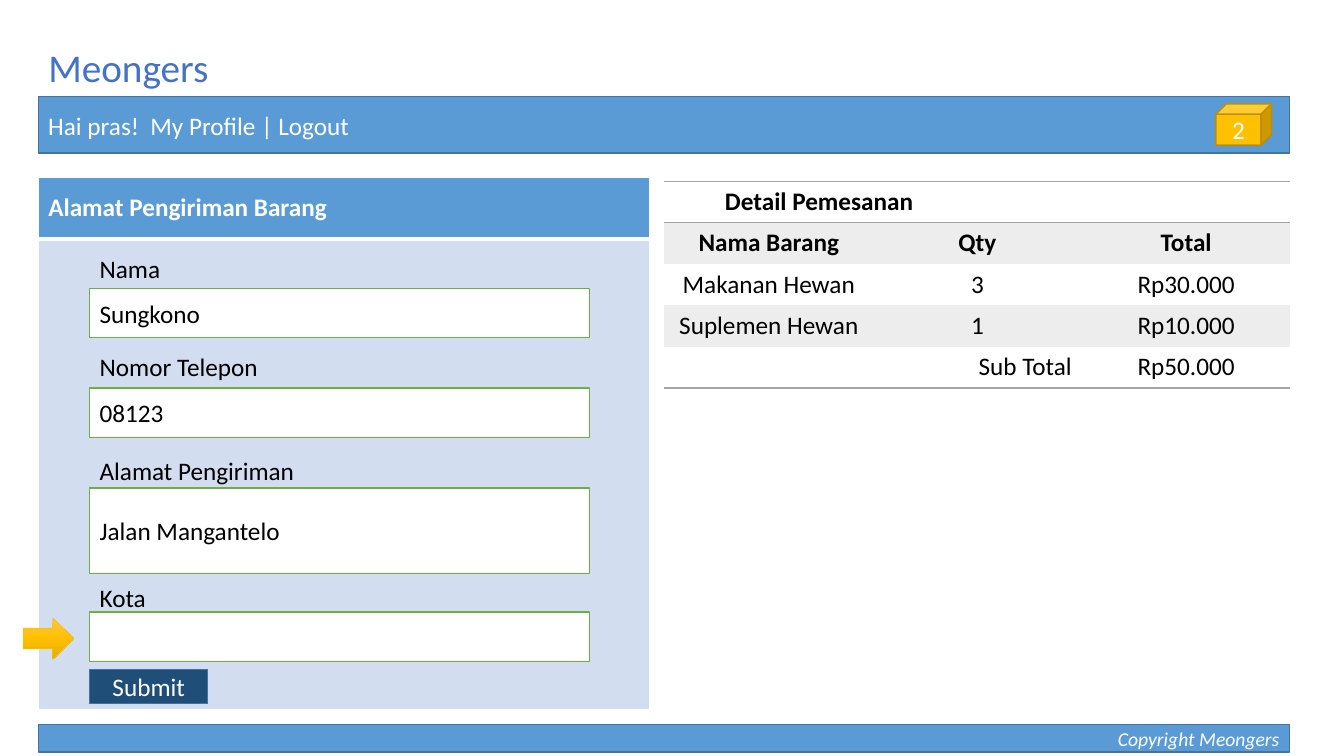
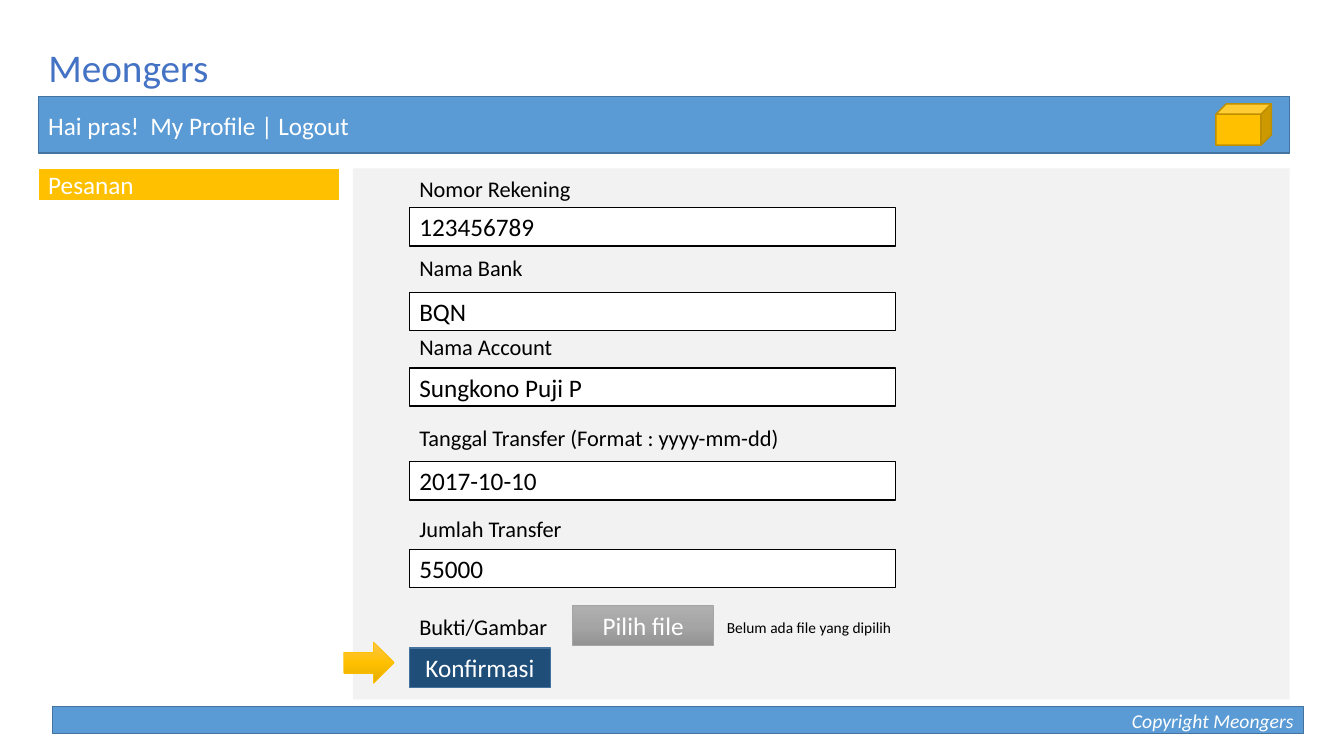
import copy
from dataclasses import dataclass

import lxml.etree
import pptx
import pptx.dml.color
import pptx.enum.shapes
import pptx.enum.text
import pptx.oxml.ns
import pptx.util

Inches = pptx.util.Inches
Pt = pptx.util.Pt
SHAPES = pptx.enum.shapes.MSO_SHAPE
ALIGN = pptx.enum.text.PP_ALIGN
ANCHOR = pptx.enum.text.MSO_ANCHOR
qn = pptx.oxml.ns.qn


@dataclass(frozen=True)
class Theme:
    font: str = "Calibri"
    title_size: int = 28
    body_size: int = 18
    label_size: int = 16
    footer_size: int = 14
    note_size: int = 11
    title: str = "4472C4"
    band: str = "5B9BD5"
    band_line: str = "43739E"
    button: str = "1F4E79"
    accent: str = "FFC000"
    accent_line: str = "BD8E00"
    field_line: str = "70AD47"
    table_line: str = "A5A5A5"
    stripe: str = "EDEDED"
    form: str = "D2DEEF"
    panel: str = "F2F2F2"
    white: str = "FFFFFF"
    black: str = "000000"
    arrow_gradient: tuple = ("FFC64B", "FFC000", "E3AB00")
    grey_gradient: tuple = ("AFAFAF", "A5A5A5", "939393")


THEME = Theme()

# Content
SITE_NAME = "Meongers"
MENU = "Hai pras!  My Profile | Logout"
COPYRIGHT = "Copyright Meongers"
LEFT, WIDTH = 0.38, 12.41

ADDRESS_TITLE = "Alamat Pengiriman Barang"
# label, label top, value, field top, field height
ADDRESS_FIELDS = [
    ("Nama", 2.46, "Sungkono", 2.86, 0.49),
    ("Nomor Telepon", 3.44, "08123", 3.85, 0.49),
    ("Alamat Pengiriman", 4.47, "Jalan Mangantelo", 4.84, 0.85),
    ("Kota", 5.73, "", 6.07, 0.49),
]
ORDER_TITLE = "Detail Pemesanan"
ORDER_ROWS = [
    ("Nama Barang", "Qty", "Total"),
    ("Makanan Hewan", "3", "Rp30.000"),
    ("Suplemen Hewan", "1", "Rp10.000"),
    ("", "Sub Total", "Rp50.000"),
]
PAYMENT_FIELDS = [
    ("Nomor Rekening", 1.69, "123456789", 2.06, 0.38),
    ("Nama Bank", 2.47, "BQN", 2.9, 0.38),
    ("Nama Account", 3.26, "Sungkono Puji P", 3.65, 0.38),
    ("Tanggal Transfer (Format : yyyy-mm-dd)", 4.16, "2017-10-10", 4.58, 0.38),
    ("Jumlah Transfer", 5.06, "55000", 5.45, 0.38),
]


# Drawing helpers
def rgb(value):
    return pptx.dml.color.RGBColor.from_string(value)


def write(text_frame, text, size=THEME.body_size, color=THEME.black,
          align=ALIGN.LEFT, bold=False, italic=False):
    text_frame.text = text
    paragraph = text_frame.paragraphs[0]
    paragraph.alignment = align
    for run in paragraph.runs:
        font = run.font
        font.name, font.size = THEME.font, Pt(size)
        font.bold, font.italic = bold, italic
        font.color.rgb = rgb(color)


def add_box(slide, left, top, width, height, fill, line=None, text="",
            kind=SHAPES.RECTANGLE, line_width=1, **text_style):
    shape = slide.shapes.add_shape(
        kind, Inches(left), Inches(top), Inches(width), Inches(height))
    shape.shadow.inherit = False
    if isinstance(fill, tuple):
        fill_gradient(shape, fill)
    else:
        shape.fill.solid()
        shape.fill.fore_color.rgb = rgb(fill)
    if line:
        shape.line.color.rgb = rgb(line)
        shape.line.width = Pt(line_width)
    else:
        shape.line.fill.background()
    if text:
        write(shape.text_frame, text, **text_style)
    return shape


def fill_gradient(shape, colors):
    """Vertical gradient with three stops."""
    shape.fill.gradient()
    shape.fill.gradient_angle = 270
    stop_list = shape._element.spPr.find(".//" + qn("a:gsLst"))
    stop_list.insert(1, copy.deepcopy(stop_list[0]))
    for stop, color, position in zip(shape.fill.gradient_stops, colors, (0, 0.5, 1)):
        stop.color.rgb = rgb(color)
        stop.position = position


def add_label(slide, left, top, width, height, text, size):
    label = slide.shapes.add_textbox(
        Inches(left), Inches(top), Inches(width), Inches(height))
    label.text_frame.word_wrap = True
    write(label.text_frame, text, size=size)


def add_fields(slide, fields, left, width, line, label_size):
    for label, label_top, value, top, height in fields:
        add_box(slide, left, top, width, height, THEME.white, line, value)
        add_label(slide, left, label_top, width, 0.4, label, label_size)


def add_button(slide, left, top, width, height, text,
               fill=THEME.button, line=THEME.band_line, line_width=1):
    add_box(slide, left, top, width, height, fill, line, text,
            line_width=line_width, color=THEME.white, align=ALIGN.CENTER)


def add_arrow(slide, left, top):
    add_box(slide, left, top, 0.5, 0.41, THEME.arrow_gradient, THEME.accent,
            kind=SHAPES.RIGHT_ARROW, line_width=0.5)


def add_table(slide, left, top, column_widths, row_heights):
    frame = slide.shapes.add_table(
        len(row_heights), len(column_widths), Inches(left), Inches(top),
        Inches(sum(column_widths)), Inches(sum(row_heights)))
    table = frame.table
    table.first_row = table.horz_banding = False
    for column, width in zip(table.columns, column_widths):
        column.width = Inches(width)
    for row, height in zip(table.rows, row_heights):
        row.height = Inches(height)
    return table


def style_cell(cell, fill=None, **edges):
    """Fill a cell; edges L, R, T, B are (colour, points), others are bare."""
    if fill:
        cell.fill.solid()
        cell.fill.fore_color.rgb = rgb(fill)
    else:
        cell.fill.background()
    properties = cell._tc.get_or_add_tcPr()
    for index, side in enumerate("LRTB"):
        border = lxml.etree.Element(qn("a:ln" + side))
        properties.insert(index, border)
        if side in edges:
            color, points = edges[side]
            border.set("w", str(Pt(points)))
            solid = lxml.etree.SubElement(border, qn("a:solidFill"))
            lxml.etree.SubElement(solid, qn("a:srgbClr"), val=color)
        else:
            lxml.etree.SubElement(border, qn("a:noFill"))


# Shared page frame
def add_page(presentation, footer_left, footer_top, cart_count=""):
    slide = presentation.slides.add_slide(presentation.slide_layouts[5])
    title = slide.shapes.title
    title.left, title.top = Inches(LEFT), Inches(0.38)
    title.width, title.height = Inches(1.81), Inches(0.57)
    write(title.text_frame, SITE_NAME, THEME.title_size, THEME.title)
    title.text_frame.word_wrap = False
    title.text_frame.auto_size = pptx.enum.text.MSO_AUTO_SIZE.NONE
    title.text_frame.vertical_anchor = ANCHOR.TOP
    add_box(slide, LEFT, 0.96, WIDTH, 0.56, THEME.band, THEME.band_line,
            MENU, color=THEME.white)
    add_box(slide, 12.06, 1.03, 0.55, 0.41, THEME.accent, THEME.accent_line,
            cart_count, kind=SHAPES.CUBE, color=THEME.white, align=ALIGN.CENTER)
    add_box(slide, footer_left, footer_top, WIDTH, 0.27, THEME.band,
            THEME.band_line, COPYRIGHT, size=THEME.footer_size,
            color=THEME.white, align=ALIGN.RIGHT, italic=True)
    return slide


def add_order_table(slide):
    rule = (THEME.table_line, 1)
    table = add_table(slide, 6.59, 1.8, [2.07] * 3, [0.41] * 5)
    heading = table.cell(0, 0)
    heading.merge(table.cell(0, 2))
    heading.margin_left = Inches(0.6)
    write(heading.text_frame, ORDER_TITLE, bold=True)
    for column in range(3):
        style_cell(table.cell(0, column), T=rule, B=rule)
    last = len(ORDER_ROWS)
    for row, values in enumerate(ORDER_ROWS, start=1):
        edges = {"T": rule} if row == 1 else {"B": rule} if row == last else {}
        for column, value in enumerate(values):
            cell = table.cell(row, column)
            align = ALIGN.RIGHT if (row, column) == (last, 1) else ALIGN.CENTER
            write(cell.text_frame, value, align=align, bold=row == 1)
            style_cell(cell, THEME.stripe if row % 2 else None, **edges)
    # The subtotal row sits on plain ground
    return table


# Slides
def build_checkout(presentation):
    slide = add_page(presentation, LEFT, 7.19, "2")
    form = add_table(slide, LEFT, 1.76, [6.06], [0.61, 4.67])
    thin, thick = (THEME.white, 1), (THEME.white, 3)
    header, body = form.cell(0, 0), form.cell(1, 0)
    write(header.text_frame, ADDRESS_TITLE, color=THEME.white, bold=True)
    header.vertical_anchor = ANCHOR.MIDDLE
    style_cell(header, THEME.band, L=thin, R=thin, T=thin, B=thick)
    style_cell(body, THEME.form, L=thin, R=thin, T=thick, B=thin)
    add_fields(slide, ADDRESS_FIELDS, 0.89, 4.96, THEME.field_line, THEME.body_size)
    add_order_table(slide)
    add_button(slide, 0.89, 6.64, 1.17, 0.34, "Submit")
    add_arrow(slide, 0.23, 6.13)


def build_payment(presentation):
    slide = add_page(presentation, 0.52, 7.01)
    add_box(slide, LEFT, 1.67, 2.99, 0.32, THEME.accent, THEME.white,
            "Pesanan", line_width=1.5, color=THEME.white)
    add_box(slide, 3.5, 1.67, 9.29, 5.27, THEME.panel)
    add_fields(slide, PAYMENT_FIELDS, 4.06, 4.82, THEME.black, THEME.label_size)
    add_label(slide, 4.06, 6.03, 1.65, 0.37, "Bukti/Gambar", THEME.label_size)
    add_button(slide, 5.68, 6.01, 1.4, 0.39, "Pilih file",
               THEME.grey_gradient, THEME.table_line, 0.5)
    add_label(slide, 7.11, 6.08, 2.21, 0.29, "Belum ada file yang dipilih",
              THEME.note_size)
    add_button(slide, 4.06, 6.43, 1.4, 0.39, "Konfirmasi")
    add_arrow(slide, 3.41, 6.37)


def main():
    presentation = pptx.Presentation()
    presentation.slide_width = Inches(13.33)
    presentation.slide_height = Inches(7.5)
    build_checkout(presentation)
    build_payment(presentation)
    presentation.save("out.pptx")


if __name__ == "__main__":
    main()
